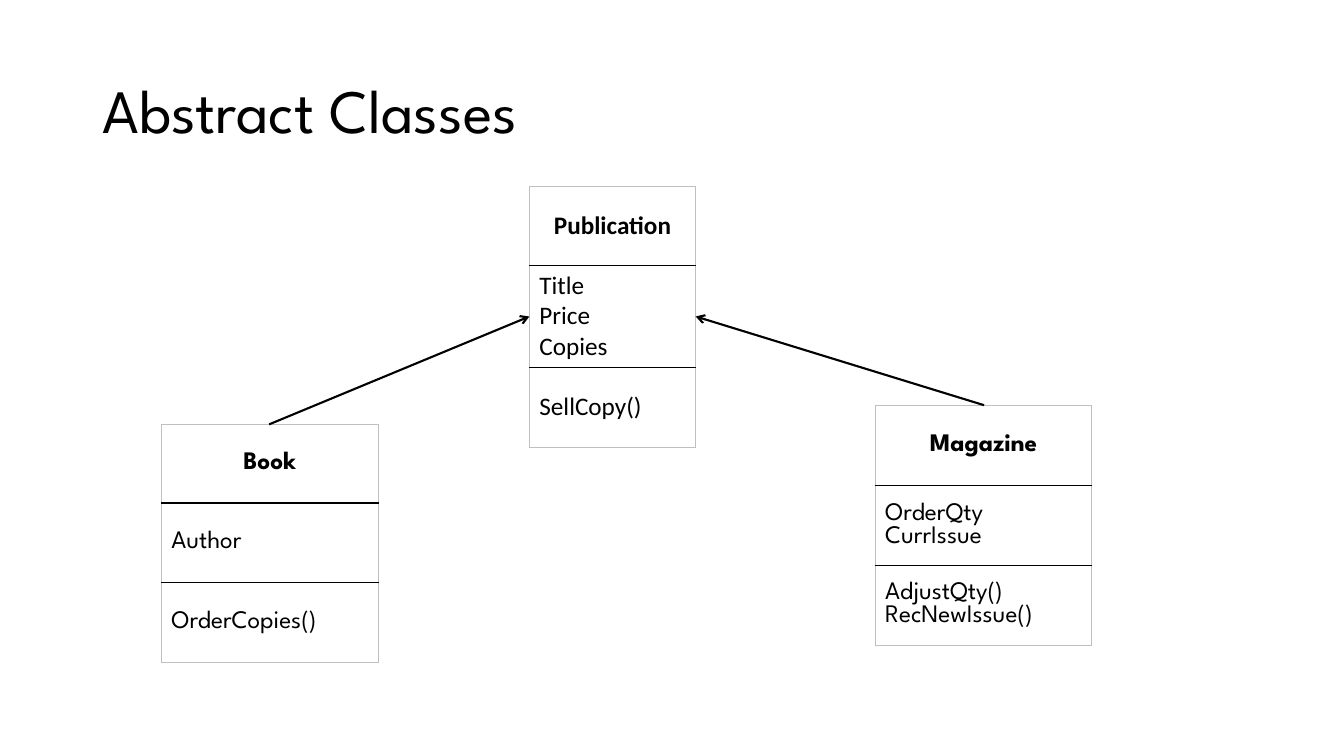
from dataclasses import dataclass

from lxml.etree import SubElement
from pptx import Presentation
from pptx.dml.color import RGBColor
from pptx.enum.shapes import MSO_CONNECTOR
from pptx.enum.text import MSO_ANCHOR, PP_ALIGN
from pptx.oxml.ns import qn
from pptx.util import Pt

EMU_PER_PX = 9144


@dataclass(frozen=True)
class Theme:
    ink: str = "000000"
    frame: str = "BFBFBF"
    paper: str = "FFFFFF"
    heading_font: str = "League Spartan"
    plain_font: str = "Calibri"
    title_size: int = 44
    class_size: int = 18
    frame_width: float = 0.75
    rule_width: float = 1
    arrow_width: float = 1.5


THEME = Theme()


def px(length):
    return length * EMU_PER_PX


def format_runs(paragraph, font_name, size, bold=False):
    for run in paragraph.runs:
        run.font.name = font_name
        run.font.size = Pt(size)
        run.font.bold = bold
        run.font.color.rgb = RGBColor.from_string(THEME.ink)


def add_title(slide, text, left, top, width, height):
    title = slide.shapes.title
    title.left, title.top = px(left), px(top)
    title.width, title.height = px(width), px(height)
    title.text_frame.text = text
    title.text_frame.vertical_anchor = MSO_ANCHOR.MIDDLE
    paragraph = title.text_frame.paragraphs[0]
    paragraph.alignment = PP_ALIGN.LEFT
    paragraph.line_spacing = 0.9
    format_runs(paragraph, THEME.heading_font, THEME.title_size)


def set_borders(cell, is_first, is_last):
    """Draw a pale outer frame and dark rules between compartments."""
    frame = (THEME.frame, THEME.frame_width)
    rule = (THEME.ink, THEME.rule_width)
    borders = {
        "a:lnL": frame,
        "a:lnR": frame,
        "a:lnT": frame if is_first else rule,
        "a:lnB": frame if is_last else rule,
    }
    properties = cell._tc.get_or_add_tcPr()
    for position, (tag, (color, width)) in enumerate(borders.items()):
        line = SubElement(properties, qn(tag), w=str(Pt(width)))
        fill = SubElement(line, qn("a:solidFill"))
        SubElement(fill, qn("a:srgbClr"), val=color)
        properties.insert(position, line)


def add_class_box(slide, compartments, left, top, width, heights, font_name):
    """Add a UML class: name, attributes and methods, one per row."""
    frame = slide.shapes.add_table(
        len(compartments), 1, px(left), px(top), px(width), px(sum(heights)))
    table = frame.table
    table.first_row = table.horz_banding = False
    table.columns[0].width = px(width)
    for index, (text, height) in enumerate(zip(compartments, heights)):
        table.rows[index].height = px(height)
        cell = table.cell(index, 0)
        cell.fill.solid()
        cell.fill.fore_color.rgb = RGBColor.from_string(THEME.paper)
        set_borders(cell, index == 0, index == len(compartments) - 1)
        cell.vertical_anchor = MSO_ANCHOR.MIDDLE
        cell.text_frame.text = text
        for paragraph in cell.text_frame.paragraphs:
            paragraph.alignment = PP_ALIGN.CENTER if index == 0 else PP_ALIGN.LEFT
            format_runs(paragraph, font_name, THEME.class_size, bold=index == 0)


def add_arrow(slide, start, end):
    connector = slide.shapes.add_connector(
        MSO_CONNECTOR.STRAIGHT, *map(px, start + end))
    connector.line.color.rgb = RGBColor.from_string(THEME.ink)
    connector.line.width = Pt(THEME.arrow_width)
    line = connector.line._get_or_add_ln()
    SubElement(line, qn("a:tailEnd"), type="arrow")
    SubElement(connector._element.spPr, qn("a:effectLst"))


def main():
    presentation = Presentation()
    presentation.slide_width, presentation.slide_height = px(1333), px(750)
    title_only = presentation.slide_layouts[5]
    slide = presentation.slides.add_slide(title_only)

    add_title(slide, "Abstract Classes", 92, 40, 1150, 145)
    add_class_box(slide, ("Book", "Author", "OrderCopies()"),
                  160, 421, 215, (78, 79, 79), THEME.heading_font)
    add_class_box(slide, ("Magazine", "OrderQty\nCurrIssue", "AdjustQty()\nRecNewIssue()"),
                  868, 402, 215, (80, 79, 79), THEME.heading_font)
    add_class_box(slide, ("Publication", "Title\nPrice\nCopies", "SellCopy()"),
                  525, 185, 165, (78, 101, 79), THEME.plain_font)
    add_arrow(slide, (976, 402), (690, 314))
    add_arrow(slide, (267, 421), (525, 314))

    presentation.save("out.pptx")


if __name__ == "__main__":
    main()
